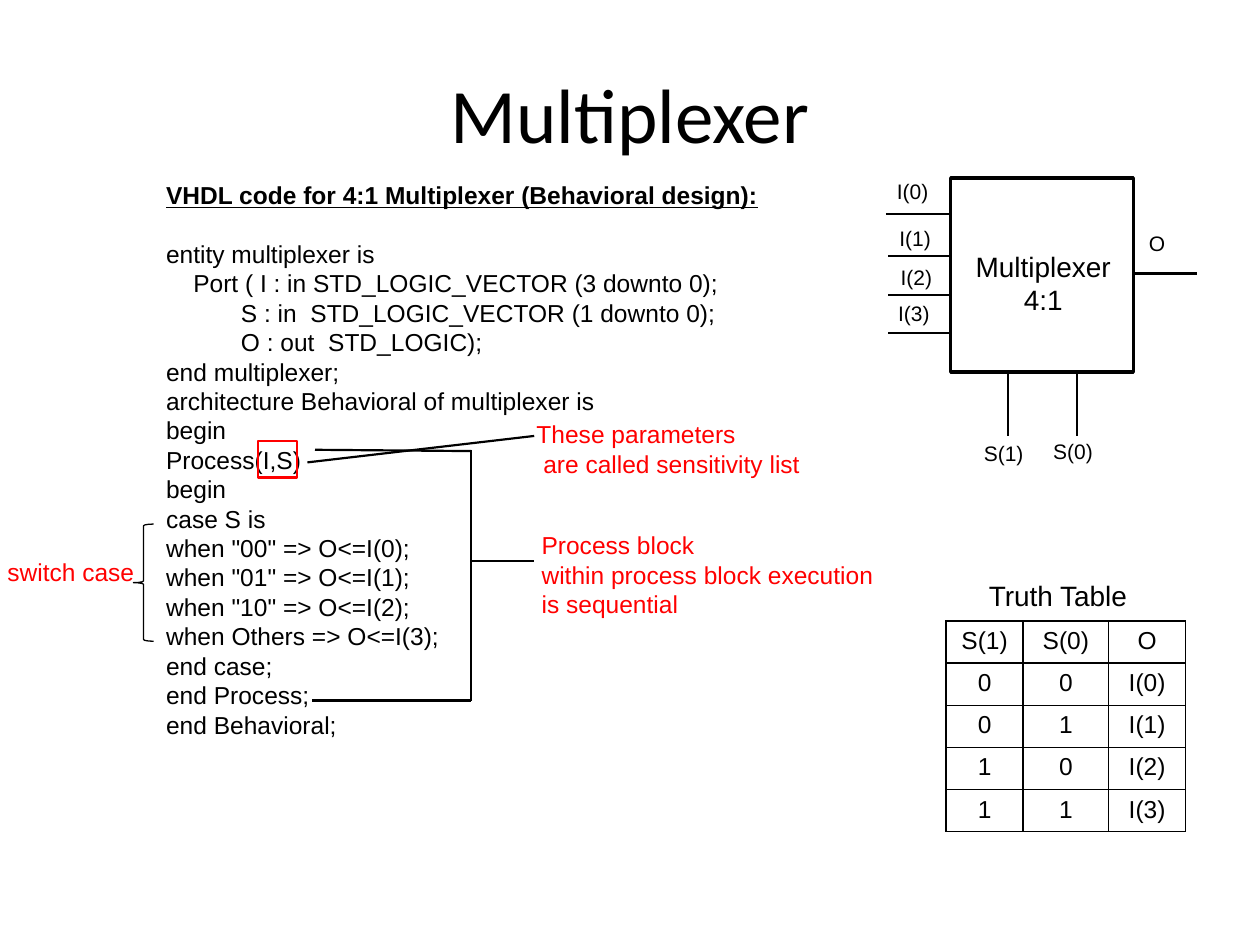
from dataclasses import dataclass

import pptx
import pptx.dml.color
import pptx.enum.shapes
import pptx.enum.text
import pptx.util
from lxml import etree
from pptx.oxml.ns import qn

COLORS = {"ink": "000000", "note": "FF0000"}
Align = pptx.enum.text.PP_ALIGN
Anchor = pptx.enum.text.MSO_ANCHOR
Preset = pptx.enum.shapes.MSO_SHAPE

deck = pptx.Presentation()
deck.slide_width = pptx.util.Inches(10)
deck.slide_height = pptx.util.Inches(7.5)
GRID_COLUMNS, GRID_ROWS = 100, 75
slide = deck.slides.add_slide(deck.slide_layouts[5])


@dataclass(frozen=True)
class Area:
    column: float
    row: float
    columns: float
    rows: float


@dataclass(frozen=True)
class Wire:
    start: tuple[float, float]
    end: tuple[float, float]
    width: float = 1.25


@dataclass(frozen=True)
class Label:
    area: Area
    text: str
    size: float = 12
    color: str = "ink"
    align: Align = Align.LEFT
    wrap: bool = True


def across(columns: float) -> int:
    return round(deck.slide_width * columns / GRID_COLUMNS)


def down(rows: float) -> int:
    return round(deck.slide_height * rows / GRID_ROWS)


def bounds(area: Area) -> tuple[int, int, int, int]:
    return across(area.column), down(area.row), across(area.columns), down(area.rows)


def rgb(name: str) -> pptx.dml.color.RGBColor:
    return pptx.dml.color.RGBColor.from_string(COLORS[name])


def write(frame, text: str, *, size: float, font: str = "Arial", color: str = "ink",
          align: Align = Align.LEFT, bold: bool = False) -> None:
    frame.text = text
    for paragraph in frame.paragraphs:
        paragraph.alignment = align
        for run in paragraph.runs:
            run.font.name = font
            run.font.size = pptx.util.Pt(size)
            run.font.bold = bold
            run.font.color.rgb = rgb(color)


def draw_label(label: Label):
    frame = slide.shapes.add_textbox(*bounds(label.area)).text_frame
    write(frame, label.text, size=label.size, color=label.color, align=label.align)
    frame.word_wrap = label.wrap
    frame.auto_size = pptx.enum.text.MSO_AUTO_SIZE.SHAPE_TO_FIT_TEXT
    return frame


def draw_wire(wire: Wire) -> None:
    line = slide.shapes.add_connector(
        pptx.enum.shapes.MSO_CONNECTOR.STRAIGHT,
        across(wire.start[0]), down(wire.start[1]), across(wire.end[0]), down(wire.end[1]))
    line.line.color.rgb = rgb("ink")
    line.line.width = pptx.util.Pt(wire.width)
    etree.SubElement(line._element.spPr, qn("a:effectLst"))


def draw_outline(preset: Preset, area: Area, color: str, width: float) -> None:
    outline = slide.shapes.add_shape(preset, *bounds(area))
    outline.shadow.inherit = False
    outline.fill.background()
    outline.line.color.rgb = rgb(color)
    outline.line.width = pptx.util.Pt(width)


def draw_borders(cell, width: float) -> None:
    properties = cell._tc.get_or_add_tcPr()
    for position, side in enumerate(("lnL", "lnR", "lnT", "lnB")):
        border = etree.Element(qn(f"a:{side}"), w=str(pptx.util.Pt(width)))
        fill = etree.SubElement(border, qn("a:solidFill"))
        etree.SubElement(fill, qn("a:srgbClr"), val=COLORS["ink"])
        properties.insert(position, border)


def draw_table(area: Area, widths: list[float], rows: list[tuple[str, ...]]) -> None:
    table = slide.shapes.add_table(len(rows), len(widths), *bounds(area)).table
    table.first_row = table.horz_banding = False
    for column, width in zip(table.columns, widths):
        column.width = across(width)
    for row, values in zip(table.rows, rows):
        row.height = down(area.rows / len(rows))
        for cell, value in zip(row.cells, values):
            write(cell.text_frame, value, size=14, align=Align.CENTER)
            cell.fill.background()
            draw_borders(cell, 1)


heading = slide.shapes.title
heading.left, heading.top, heading.width, heading.height = bounds(Area(5, 2.7, 90, 12.5))
write(heading.text_frame, "Multiplexer", size=44, font="Calibri", align=Align.CENTER)
heading.text_frame.vertical_anchor = Anchor.MIDDLE

CODE = """VHDL code for 4:1 Multiplexer (Behavioral design):
entity multiplexer is
Port ( I : in STD_LOGIC_VECTOR (3 downto 0);
S : in  STD_LOGIC_VECTOR (1 downto 0);
O : out  STD_LOGIC);
end multiplexer;
architecture Behavioral of multiplexer is
begin
Process(I,S)
begin
case S is
when "00" => O<=I(0);
when "01" => O<=I(1);
when "10" => O<=I(2);
when Others => O<=I(3);
end case;
end Process;
end Behavioral;"""
PORT_INDENTS = {2: 2.16, 3: 5.94, 4: 5.94}

listing = draw_label(Label(Area(12.2, 13.8, 50, 45.8), CODE, 14)).paragraphs
listing[0].runs[0].font.bold = listing[0].runs[0].font.underline = True
listing[0].space_after = pptx.util.Pt(16.8)
for number, indent in PORT_INDENTS.items():
    listing[number]._p.get_or_add_pPr().set("marL", str(across(indent)))

draw_outline(Preset.RECTANGLE, Area(75.45, 14.15, 14.5, 15.4), "ink", 2)
draw_outline(Preset.RECTANGLE, Area(20.5, 35, 3.1, 2.9), "note", 1.25)
draw_outline(Preset.LEFT_BRACE, Area(10.6, 41.6, 1.6, 9.3), "ink", 0.75)

input_wires = [Wire((column, row), (column + 5, row))
               for column, row in ((70.3, 17), (70.5, 20.3), (70.5, 23.4), (70.5, 26.4))]
select_wires = [Wire((column, 29.6), (column, 34.6)) for column in (80, 85.5)]
output_wire = Wire((90, 21.7), (95, 21.7), 2)
process_bracket = [
    Wire((25, 35.7), (37.4, 35.8)),
    Wire((24.8, 55.6), (37.4, 55.6)),
    Wire((37.4, 35.7), (37.4, 55.6)),
    Wire((37.4, 44.5), (42.4, 44.5)),
]
sensitivity_pointer = Wire((24.4, 36.7), (42.4, 34.6))
for wire in (*input_wires, *select_wires, output_wire, *process_bracket, sensitivity_pointer):
    draw_wire(wire)

input_labels = [Label(Area(column, row, 6.6, 3), f"I({index})")
                for index, (column, row) in enumerate(
                    ((70.2, 13.7), (70.4, 17.4), (70.5, 20.5), (70.3, 23.4)))]
for label in (
    *input_labels,
    Label(Area(76, 19.3, 13.6, 6.4), "Multiplexer\n4:1", 16, align=Align.CENTER),
    Label(Area(82.6, 34.3, 5.2, 3), "S(0)"),
    Label(Area(77.1, 34.5, 5.2, 3), "S(1)"),
    Label(Area(90.2, 17.8, 5.2, 3), "O"),
    Label(Area(77.5, 45.4, 13.5, 3.7), "Truth Table", 16),
    Label(Area(42, 41.6, 29.2, 8.1),
          "Process block\nwithin process block execution is sequential", 14, "note"),
    Label(Area(41.6, 32.8, 23, 5.7),
          "These parameters\n are called sensitivity list", 14, "note", wrap=False),
    Label(Area(-0.4, 43.7, 12.2, 3.4), "switch case", 14, "note", wrap=False),
):
    draw_label(label)

truth_rows = [("S(1)", "S(0)", "O")] + [
    (str(index // 2), str(index % 2), f"I({index})") for index in range(4)]
draw_table(Area(75.1, 49.3, 19, 16.7), [6.1, 6.8, 6.1], truth_rows)

deck.save("out.pptx")
